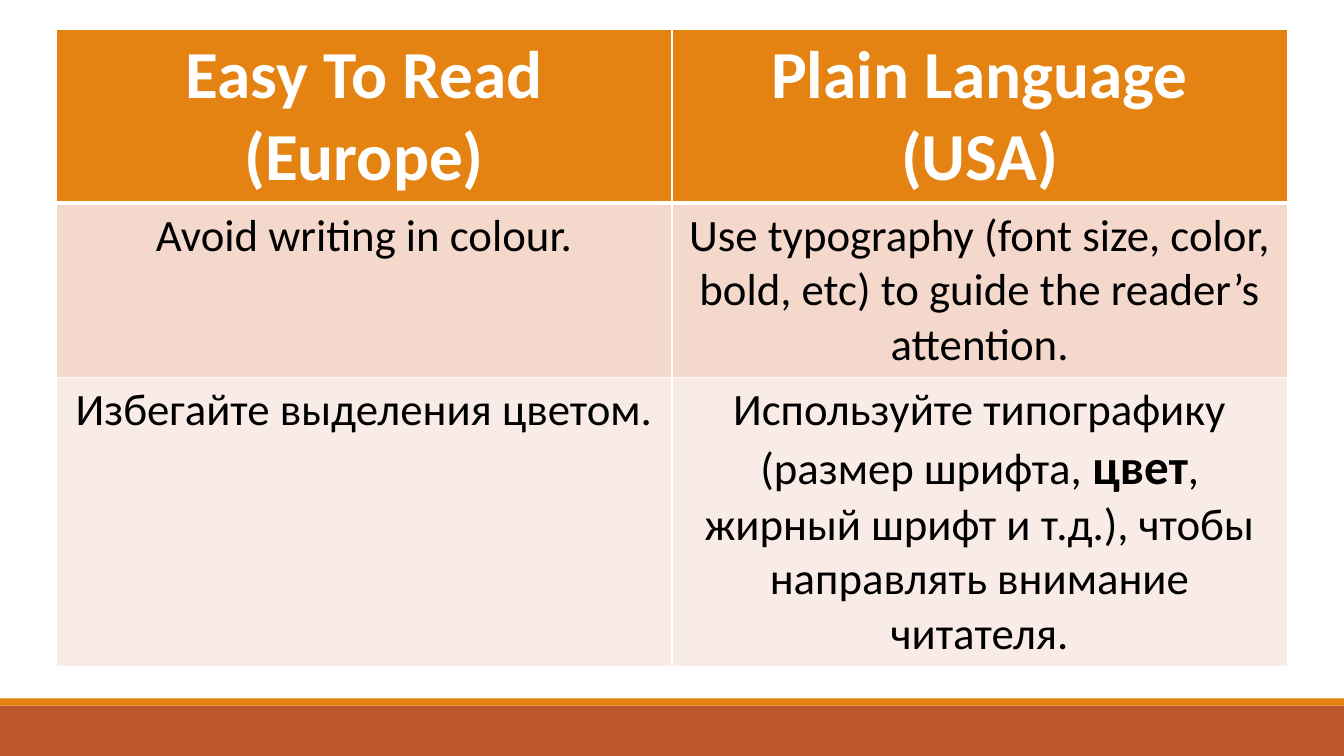
import pptx
import pptx.dml.color
import pptx.enum.shapes
import pptx.enum.text
import pptx.oxml
import pptx.oxml.ns
import pptx.util
from pptx.dml.color import RGBColor
from pptx.util import Inches

WHITE = RGBColor(0xFF, 0xFF, 0xFF)
BLACK = RGBColor(0x00, 0x00, 0x00)
ORANGE = RGBColor(0xE4, 0x83, 0x12)
RUST = RGBColor(0xBD, 0x58, 0x2C)
PEACH = RGBColor(0xF4, 0xD8, 0xCC)
BLUSH = RGBColor(0xF9, 0xEC, 0xE7)

THIN = 0.96
THICK = 3

GUIDELINES = [
    [[["Easy To Read (Europe)"]], [["Plain Language"], ["(USA)"]]],
    [
        [["Avoid writing in colour."]],
        [["Use typography (font size, color, bold, etc) to guide the reader’s attention."]],
    ],
    [
        [["Избегайте выделения цветом."]],
        [[
            "Используйте типографику (размер шрифта, ",
            "цвет",
            ", жирный шрифт и т.д.), чтобы направлять внимание читателя.",
        ]],
    ],
]
ROW_FILLS = [ORANGE, PEACH, BLUSH]
ROW_HEIGHTS = [1.72, 1.73, 2.86]


class SlideBuilder:
    font_name = "Calibri"
    header_size = 48
    body_size = 32
    emphasis_size = 35

    def __init__(self, deck):
        self.page = deck.slides.add_slide(deck.slide_layouts[6])

    def band(self, top, height, color):
        box = self.page.shapes.add_shape(
            pptx.enum.shapes.MSO_SHAPE.RECTANGLE,
            Inches(0), Inches(top), Inches(13.33), Inches(height),
        )
        box.shadow.inherit = False
        box.fill.solid()
        box.fill.fore_color.rgb = color
        box.line.fill.background()

    def border(self, cell, side, width):
        line = pptx.oxml.parse_xml(
            f'<a:{side} {pptx.oxml.ns.nsdecls("a")} w="{int(pptx.util.Pt(width))}">'
            f'<a:solidFill><a:srgbClr val="{WHITE}"/></a:solidFill></a:{side}>'
        )
        cell._tc.get_or_add_tcPr().append(line)

    def cell(self, cell, paragraphs, fill, header, below_header):
        self.border(cell, "lnL", THIN)
        self.border(cell, "lnR", THIN)
        self.border(cell, "lnT", THICK if below_header else THIN)
        self.border(cell, "lnB", THICK if header else THIN)
        cell.fill.solid()
        cell.fill.fore_color.rgb = fill
        for index, texts in enumerate(paragraphs):
            frame = cell.text_frame
            para = frame.add_paragraph() if index else frame.paragraphs[0]
            para.alignment = pptx.enum.text.PP_ALIGN.CENTER
            para.font.name = self.font_name
            para.font.size = pptx.util.Pt(self.header_size if header else self.body_size)
            para.font.bold = header
            para.font.color.rgb = WHITE if header else BLACK
            for position, text in enumerate(texts):
                span = para.add_run()
                span.text = text
                if position == 1:
                    span.font.size = pptx.util.Pt(self.emphasis_size)
                    span.font.bold = True

    def table(self, left, top, width, rows, heights, fills):
        table = self.page.shapes.add_table(
            len(rows), len(rows[0]),
            Inches(left), Inches(top), Inches(width), Inches(sum(heights)),
        ).table
        for index, (row, height, fill) in enumerate(zip(rows, heights, fills)):
            table.rows[index].height = Inches(height)
            for column, paragraphs in enumerate(row):
                self.cell(table.cell(index, column), paragraphs, fill, index == 0, index == 1)


def main():
    deck = pptx.Presentation()
    deck.slide_width = Inches(13.33)
    deck.slide_height = Inches(7.5)
    builder = SlideBuilder(deck)
    builder.band(7, 0.5, RUST)
    builder.band(6.93, 0.07, ORANGE)
    builder.table(0.56, 0.29, 12.21, GUIDELINES, ROW_HEIGHTS, ROW_FILLS)
    deck.save("out.pptx")


if __name__ == "__main__":
    main()
